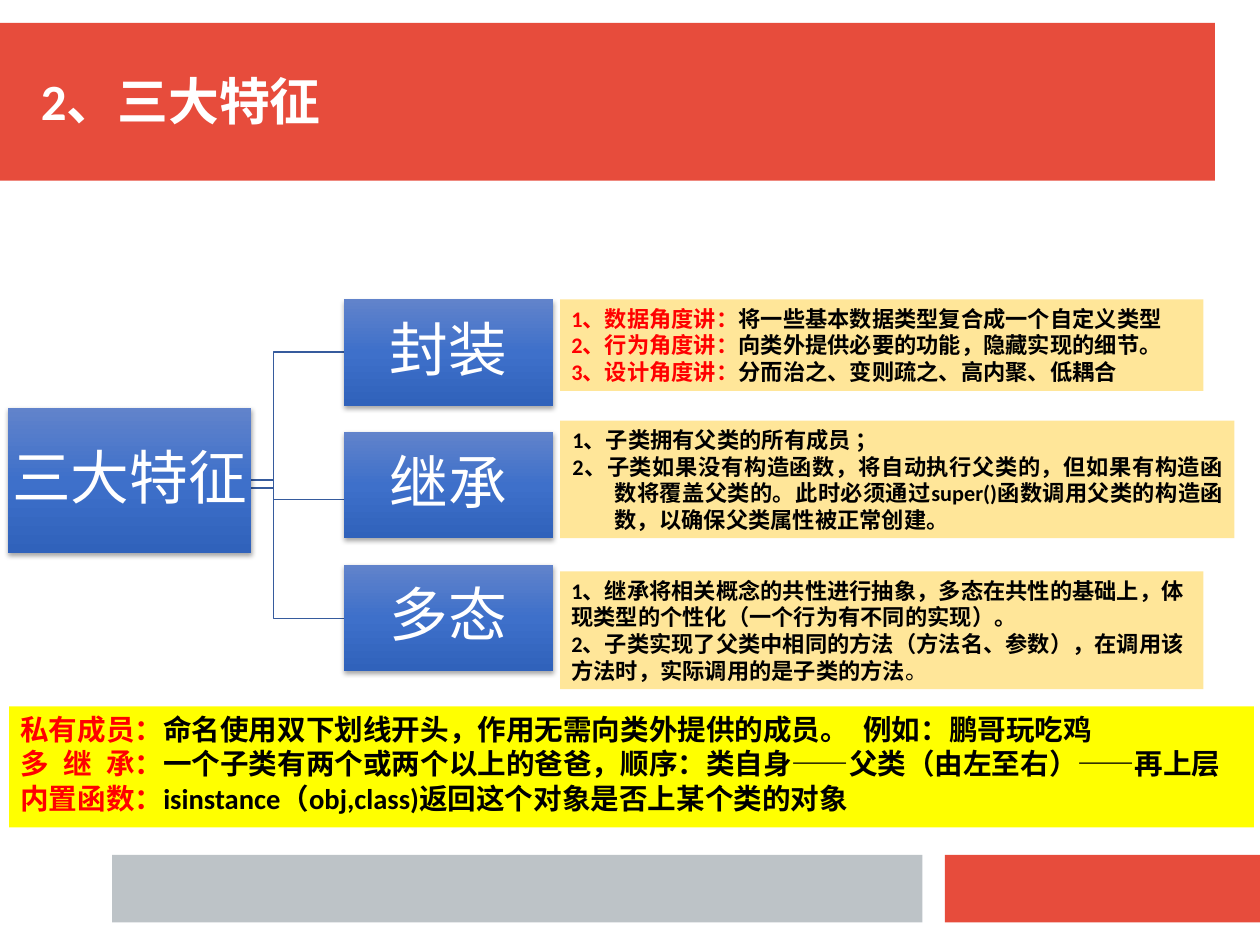
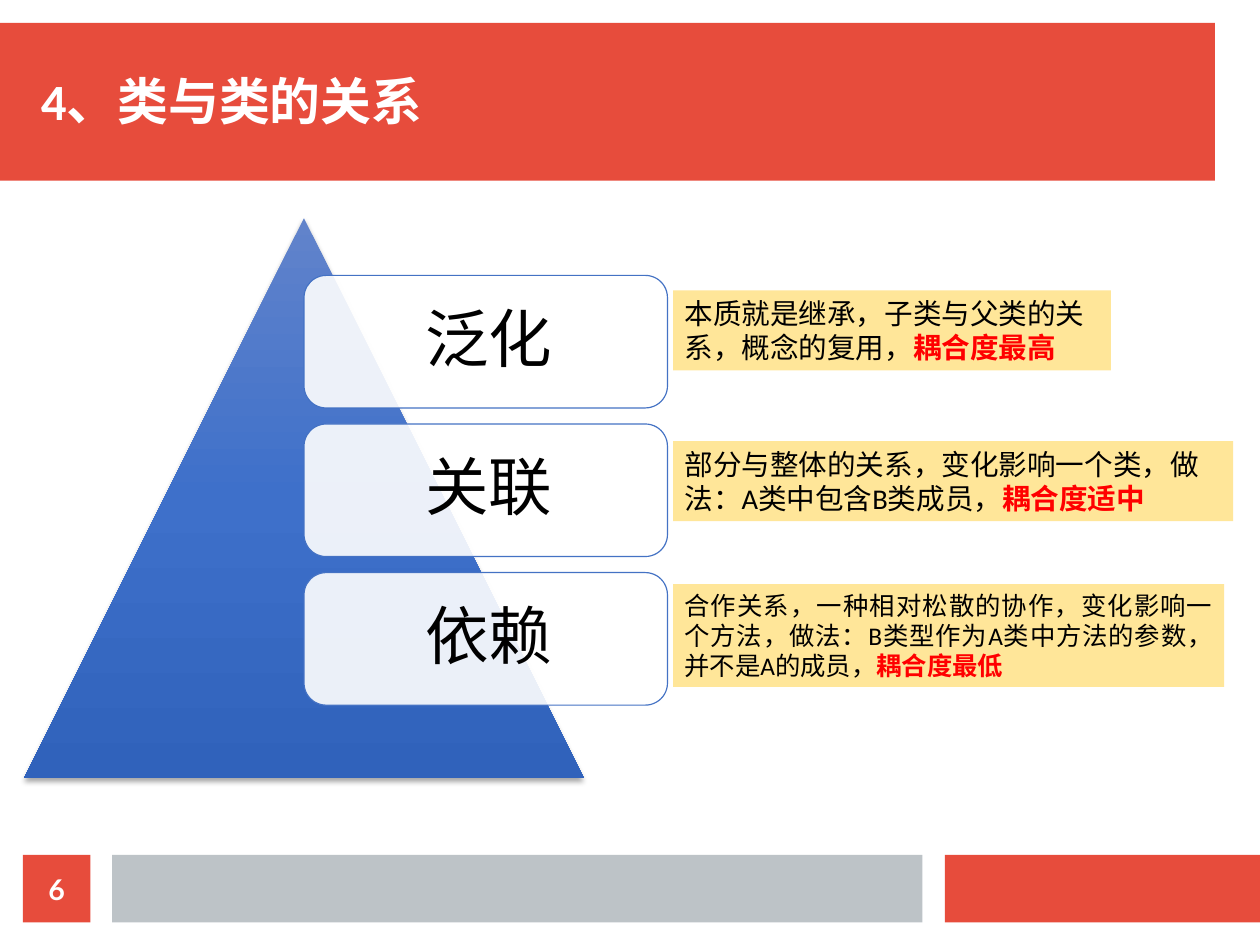
from lxml import etree
from pptx import Presentation
from pptx.dml.color import RGBColor
from pptx.enum.shapes import MSO_CONNECTOR, MSO_SHAPE
from pptx.enum.text import MSO_ANCHOR, PP_ALIGN
from pptx.oxml.ns import qn
from pptx.util import Cm, Inches, Pt

# Palette
RED = RGBColor(0xE7, 0x4C, 0x3C)
GREY = RGBColor(0xBD, 0xC3, 0xC7)
SAND = RGBColor(0xFF, 0xE6, 0x99)
YELLOW = RGBColor(0xFF, 0xFF, 0x00)
ALERT = RGBColor(0xFF, 0x00, 0x00)
WHITE = RGBColor(0xFF, 0xFF, 0xFF)
BLACK = RGBColor(0x00, 0x00, 0x00)
LINK = RGBColor(0x36, 0x5B, 0x9D)
BORDER = RGBColor(0x44, 0x72, 0xC4)
BLUES = [(0, "6183CB"), (50, "3E70CA"), (100, "3062BB")]

prs = Presentation()
prs.slide_width, prs.slide_height = Cm(28), Cm(21)
W = prs.slide_width.inches
GAP = 0.2
FOOT_Y, FOOT_H = 7.48, 0.59
NOTE_INSETS = (0.1, 0.05, 0.1, 0.05)
RECT = MSO_SHAPE.RECTANGLE


def add_block(s, at, fill, kind=RECT):
    """Add a borderless shape; fill "blue" gives the shaded gradient with a shadow."""
    sp = s.shapes.add_shape(kind, *[Inches(v) for v in at])
    sp.shadow.inherit = False
    sp.line.fill.background()
    if fill == "blue":
        sp.fill.gradient()
        sp.fill.gradient_angle = 270
        spPr = sp._element.spPr
        stops = spPr.find(qn("a:gradFill")).find(qn("a:gsLst"))
        stops.clear()
        for pos, color in BLUES:
            gs = etree.SubElement(stops, qn("a:gs"), pos=str(pos * 1000))
            etree.SubElement(gs, qn("a:srgbClr"), val=color)
        shadow = etree.SubElement(spPr.find(qn("a:effectLst")), qn("a:outerShdw"),
                                  blurRad=str(Pt(3.1)), dist=str(Pt(1.8)),
                                  dir="5400000", rotWithShape="0")
        tint = etree.SubElement(shadow, qn("a:srgbClr"), val="000000")
        etree.SubElement(tint, qn("a:alpha"), val="35000")
    else:
        sp.fill.solid()
        sp.fill.fore_color.rgb = fill
    return sp


def write(sp, paras, size, insets=NOTE_INSETS, anchor=MSO_ANCHOR.TOP,
          align=PP_ALIGN.LEFT, font="Calibri", after=0, hang=False):
    """Fill a shape with paragraphs, each a list of (text, colour, bold) runs."""
    tf = sp.text_frame
    tf.word_wrap = True
    tf.vertical_anchor = anchor
    tf.margin_left, tf.margin_top, tf.margin_right, tf.margin_bottom = map(Inches, insets)
    for i, runs in enumerate(paras):
        p = tf.add_paragraph() if i else tf.paragraphs[0]
        p.alignment = align
        pPr = p._p.get_or_add_pPr()
        pPr.set("hangingPunct", "0")
        if after:
            p.line_spacing, p.space_after = 0.9, Pt(after)
        if hang:
            pPr.set("marL", str(Inches(0.38)))
            pPr.set("indent", str(Inches(-0.37)))
        for text, color, bold in runs:
            r = p.add_run()
            r.text = text
            r.font.name, r.font.size = font, Pt(size)
            r.font.bold, r.font.color.rgb = bold, color


# Shared bands, footer and title
slides = []
for title, title_w in [("2、三大特征", 3.16), ("4、类与类的关系", 3.87)]:
    s = prs.slides.add_slide(prs.slide_layouts[6])
    add_block(s, (0, GAP, 10.63, 1.38), RED)
    add_block(s, (W * 0.75, FOOT_Y, W * 0.25, FOOT_H), RED)
    add_block(s, (0.98, FOOT_Y, 7.09, FOOT_H), GREY)
    tb = s.shapes.add_textbox(*[Inches(v) for v in (0.26, 0.56, title_w, 0.63)])
    write(tb, [[(title, WHITE, True)]], 32)
    slides.append(s)
features, relations = slides

# Slide 1: tree of the three features
ROOT = (0.07, 3.57, 2.13, 1.27)
LEAF_X, LEAF_Y, LEAF_W, LEAF_H, LEAF_STEP = 3.01, 2.62, 1.83, 0.93, 1.16
LINK_X = 1.77
for start_y, end_y in [(4.2, 5.41), (4.27, 4.37), (4.2, 3.08)]:
    ln = features.shapes.add_connector(
        MSO_CONNECTOR.ELBOW, Inches(LINK_X), Inches(start_y), Inches(LEAF_X), Inches(end_y))
    ln.line.color.rgb, ln.line.width = LINK, Pt(0.75)
    etree.SubElement(ln._element.spPr, qn("a:effectLst"))

nodes = [("三大特征", ROOT)]
nodes += [(name, (LEAF_X, LEAF_Y + i * LEAF_STEP, LEAF_W, LEAF_H))
          for i, name in enumerate(["封装", "继承", "多态"])]
for name, at in nodes:
    write(add_block(features, at, "blue"), [[(name, WHITE, False)]], 37, (0.03,) * 4,
          MSO_ANCHOR.MIDDLE, PP_ALIGN.CENTER, after=12.9)

# Slide 1: notes beside the leaves
NOTE_X = 4.9
angles = [("1、数据角度讲：", "将一些基本数据类型复合成一个自定义类型"),
          ("2、行为角度讲：", "向类外提供必要的功能，隐藏实现的细节。"),
          ("3、设计角度讲：", "分而治之、变则疏之、高内聚、低耦合")]
write(add_block(features, (NOTE_X, 2.62, 5.63, 0.8), SAND),
      [[(head, ALERT, True), (body, BLACK, True)] for head, body in angles], 14)

inheritance = ["1、子类拥有父类的所有成员 ；",
               "2、子类如果没有构造函数，将自动执行父类的，但如果有构造函数将覆盖父类的。"
               "此时必须通过super()函数调用父类的构造函数，以确保父类属性被正常创建。"]
write(add_block(features, (NOTE_X, 3.68, 5.9, 1.03), SAND),
      [[(text, BLACK, True)] for text in inheritance], 14,
      align=PP_ALIGN.JUSTIFY, hang=True)

write(add_block(features, (NOTE_X, 5, 5.63, 1.03), SAND),
      [[("1、继承将相关概念的共性进行抽象，多态在共性的基础上，"
         "体现类型的个性化（一个行为有不同的实现）。", BLACK, True)],
       [("2、子类实现了父类中相同的方法（方法名、参数），"
         "在调用该方法时，实际调用的是子类的方法", BLACK, True), ("。", BLACK, False)]], 14)

# Slide 1: summary
summary = [("私有成员：", "命名使用双下划线开头，作用无需向类外提供的成员。\u2002例如：鹏哥玩吃鸡"),
           ("多\u2002继\u2002承：",
            "一个子类有两个或两个以上的爸爸，顺序：类自身——父类（由左至右）——再上层"),
           ("内置函数：", "isinstance（obj,class)返回这个对象是否上某个类的对象")]
write(add_block(features, (0.08, 6.18, 10.89, 1.06), YELLOW),
      [[(head, ALERT, True), (body, BLACK, True)] for head, body in summary], 18)

# Slide 2: page number
write(add_block(relations, (GAP, FOOT_Y, FOOT_H, FOOT_H), RED), [[("6", WHITE, True)]], 18,
      (0,) * 4, MSO_ANCHOR.MIDDLE, PP_ALIGN.CENTER, "Lato")

# Slide 2: pyramid with three relations, each with its note
add_block(relations, (0.21, 1.91, 4.9, 4.9), "blue", MSO_SHAPE.ISOSCELES_TRIANGLE)
CARD_X, CARD_Y, CARD_W, CARD_H, CARD_STEP = 2.66, 2.41, 3.18, 1.16, 1.3
rows = [
    ("泛化", (2.54, 3.83, 0.7), 18, PP_ALIGN.LEFT,
     "本质就是继承，子类与父类的关系，概念的复用，", "耦合度最高"),
    ("关联", (3.86, 4.9, 0.7), 18, PP_ALIGN.LEFT,
     "部分与整体的关系，变化影响一个类，做法：A类中包含B类成员，", "耦合度适中"),
    ("依赖", (5.11, 4.82, 0.9), 16, PP_ALIGN.JUSTIFY,
     "合作关系，一种相对松散的协作，变化影响一个方法，"
     "做法：B类型作为A类中方法的参数，并不是A的成员，", "耦合度最低"),
]
for i, (name, (y, w, h), size, align, body, coupling) in enumerate(rows):
    card = add_block(relations, (CARD_X, CARD_Y + i * CARD_STEP, CARD_W, CARD_H), WHITE,
                     MSO_SHAPE.ROUNDED_RECTANGLE)
    color = card._element.spPr.find(qn("a:solidFill"))[0]
    etree.SubElement(color, qn("a:alpha"), val="90000")
    card.line.color.rgb, card.line.width = BORDER, Pt(0.75)
    write(card, [[(name, BLACK, False)]], 40, (0.22, 0.22, 0.17, 0.22),
          MSO_ANCHOR.MIDDLE, PP_ALIGN.CENTER, after=14)
    write(add_block(relations, (5.89, y, w, h), SAND),
          [[(body, BLACK, False), (coupling, ALERT, True)]], size, align=align)

prs.save("out.pptx")
